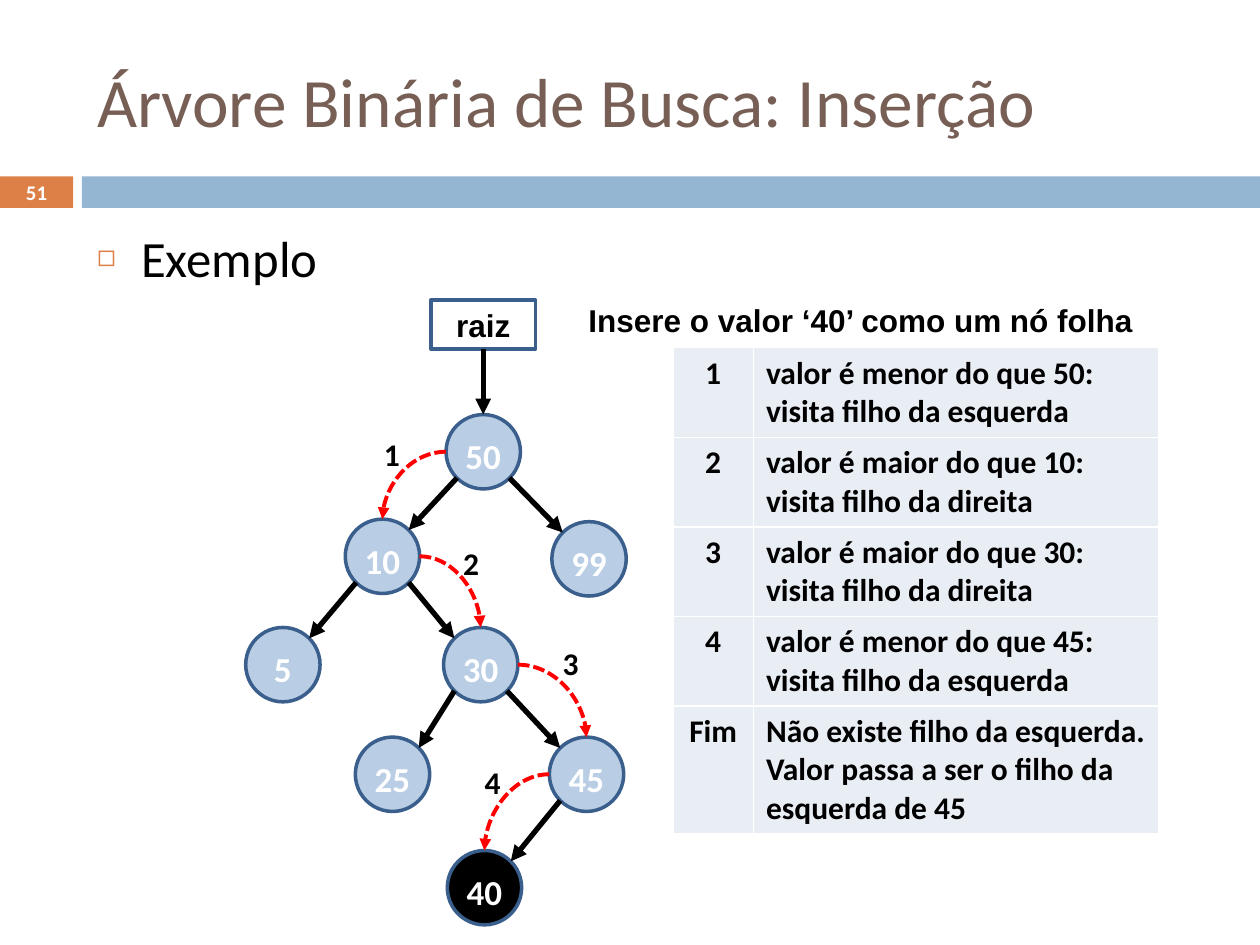
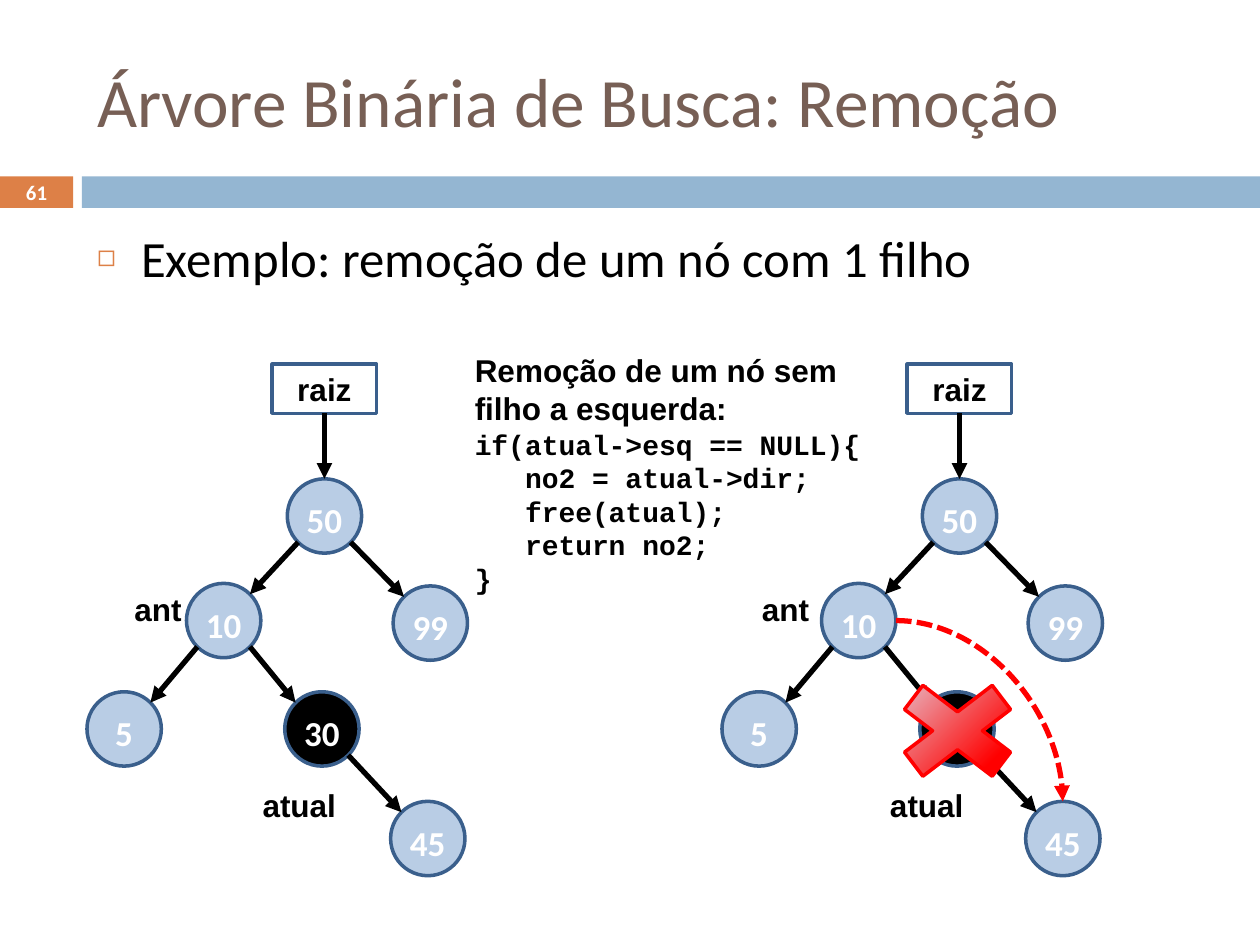
"""Build two slides on insertion and removal in a binary search tree."""
from enum import IntEnum
from math import cos, radians, sin
from typing import NamedTuple

from lxml.etree import SubElement
from pptx import Presentation
from pptx.dml.color import RGBColor
from pptx.enum.dml import MSO_LINE
from pptx.enum.shapes import MSO_CONNECTOR as Link, MSO_SHAPE as Preset
from pptx.enum.text import MSO_ANCHOR as Anchor, MSO_AUTO_SIZE as AutoSize, PP_ALIGN as Align
from pptx.oxml.ns import qn
from pptx.shapes.autoshape import Shape
from pptx.shapes.connector import Connector
from pptx.slide import Slide
from pptx.util import Inches, Pt

WHITE = RGBColor(0xFF, 0xFF, 0xFF)
BLACK = RGBColor(0x00, 0x00, 0x00)
RED = RGBColor(0xFF, 0x00, 0x00)
ORANGE = RGBColor(0xDD, 0x80, 0x47)
BAND_BLUE = RGBColor(0x94, 0xB6, 0xD2)
TITLE_BROWN = RGBColor(0x77, 0x5F, 0x55)
NODE_BLUE = RGBColor(0xB9, 0xCD, 0xE5)
OUTLINE_BLUE = RGBColor(0x3A, 0x5F, 0x8C)
CELL_GREY = RGBColor(0xE9, 0xED, 0xF4)
CROSS_PALE = RGBColor(0xE1, 0xE8, 0xF5)

BODY_FONT, LABEL_FONT, CODE_FONT = "Calibri", "Arial", "Courier New"
DIAMETER = 0.59


class Site(IntEnum):
    """Connection sites of an ellipse, counterclockwise from the top."""
    TOP = 0
    TOP_LEFT = 1
    LEFT = 2
    BOTTOM_LEFT = 3
    BOTTOM = 4
    BOTTOM_RIGHT = 5
    RIGHT = 6
    TOP_RIGHT = 7


class Box(NamedTuple):
    """A rectangle in inches."""
    left: float
    top: float
    width: float
    height: float


class Node(NamedTuple):
    """A tree node, placed relative to the root node."""
    value: str
    dx: float
    dy: float
    parent: str = ""


class Hop(NamedTuple):
    """A dashed step from one node to another."""
    start: str
    side: Site
    end: str


class Label(NamedTuple):
    """A centred bold label."""
    text: str
    box: Box
    font: str = LABEL_FONT


COMMON_NODES = [
    Node("50", 0, 0),
    Node("10", -0.8, 0.83, "50"),
    Node("99", 0.84, 0.85, "50"),
    Node("5", -1.59, 1.69, "10"),
    Node("30", -0.02, 1.69, "10"),
    Node("45", 0.82, 2.56, "30"),
]
INSERTION_NODES = COMMON_NODES + [Node("25", -0.72, 2.56, "30"), Node("40", 0.01, 3.46, "45")]
VISITS = [
    Hop("50", Site.LEFT, "10"),
    Hop("10", Site.RIGHT, "30"),
    Hop("30", Site.RIGHT, "45"),
    Hop("45", Site.LEFT, "40"),
]
STEP_PLACES = [(2.84, 3.4), (3.47, 4.27), (4.26, 5.06), (3.64, 6.01)]
STEPS = [
    ("1", "valor é menor do que 50: visita filho da esquerda"),
    ("2", "valor é maior do que 10: visita filho da direita"),
    ("3", "valor é maior do que 30: visita filho da direita"),
    ("4", "valor é menor do que 45: visita filho da esquerda"),
    ("Fim", "Não existe filho da esquerda. Valor passa a ser o filho da esquerda de 45"),
]
REMOVAL_CODE = [
    "if(atual->esq == NULL){",
    "   no2 = atual->dir;",
    "   free(atual);",
    "   return no2;",
    "}",
]


def inches(box: Box) -> list[Inches]:
    """Convert a box to lengths."""
    return [Inches(length) for length in box]


def style(paragraph, size: float, font: str, color: RGBColor, bold: bool = True,
          align: Align = Align.LEFT) -> None:
    """Format a paragraph and its runs."""
    paragraph.alignment = align
    for run in paragraph.runs:
        run.font.size, run.font.name, run.font.bold = Pt(size), font, bold
        run.font.color.rgb = color


def add_preset(slide: Slide, preset: Preset, box: Box, fill: RGBColor | None,
               line: RGBColor | None = OUTLINE_BLUE) -> Shape:
    """Draw a flat preset shape."""
    shape = slide.shapes.add_shape(preset, *inches(box))
    shape.shadow.inherit = False
    if fill is None:
        shape.fill.background()
    else:
        shape.fill.solid()
        shape.fill.fore_color.rgb = fill
    if line is None:
        shape.line.fill.background()
    else:
        shape.line.color.rgb = line
        shape.line.width = Pt(2)
    return shape


def write_inside(shape: Shape, text: str, size: float, font: str, color: RGBColor,
                 drop: float = 0) -> None:
    """Write centred text in a shape, lowered by a top inset."""
    frame = shape.text_frame
    frame.word_wrap = False
    frame.vertical_anchor = Anchor.MIDDLE
    frame.margin_left = frame.margin_right = frame.margin_bottom = 0
    frame.margin_top = Inches(drop)
    frame.text = text
    style(frame.paragraphs[0], size, font, color, align=Align.CENTER)


def add_label(slide: Slide, label: Label) -> None:
    """Write a label in a text box."""
    frame = slide.shapes.add_textbox(*inches(label.box)).text_frame
    frame.word_wrap = True
    frame.text = label.text
    style(frame.paragraphs[0], 18, label.font, BLACK, align=Align.CENTER)


def finish_arrow(arrow: Connector, color: RGBColor, width: float, dashed: bool = False) -> None:
    """Give a connector its line, arrowhead and empty effect list."""
    arrow.line.color.rgb = color
    arrow.line.width = Pt(width)
    if dashed:
        arrow.line.dash_style = MSO_LINE.SQUARE_DOT
    properties = arrow._element.spPr
    SubElement(properties.find(qn("a:ln")), qn("a:tailEnd"), type="triangle")
    SubElement(properties, qn("a:effectLst"))


def site_point(node: Shape, site: Site) -> tuple[int, int]:
    """Locate a connection site on a round node."""
    radius, angle = node.width / 2, radians(45 * site)
    return (round(node.left + radius * (1 - sin(angle))),
            round(node.top + radius * (1 - cos(angle))))


def join_nodes(slide: Slide, kind: Link, start: Shape, start_site: Site,
               end: Shape, end_site: Site) -> Connector:
    """Attach a connector to sites of two round nodes."""
    arrow = slide.shapes.add_connector(
        kind, *site_point(start, start_site), *site_point(end, end_site))
    joints = arrow._element.nvCxnSpPr.cNvCxnSpPr
    for joint, node, site in ((joints.get_or_add_stCxn(), start, start_site),
                              (joints.get_or_add_endCxn(), end, end_site)):
        joint.id, joint.idx = node.shape_id, int(site)
    return arrow


def draw_tree(slide: Slide, left: float, top: float, nodes: list[Node],
              dark: str) -> dict[str, Shape]:
    """Draw a tree with its root pointer and return the nodes by value."""
    drawn = {}
    for node in nodes:
        circle = add_preset(slide, Preset.OVAL,
                            Box(left + node.dx, top + node.dy, DIAMETER, DIAMETER),
                            BLACK if node.value == dark else NODE_BLUE)
        write_inside(circle, node.value, 20, BODY_FONT, WHITE, drop=0.06)
        drawn[node.value] = circle
    for node in nodes:
        if node.parent:
            child, parent = drawn[node.value], drawn[node.parent]
            sites = ((Site.BOTTOM_LEFT, Site.TOP_RIGHT) if child.left < parent.left
                     else (Site.BOTTOM_RIGHT, Site.TOP_LEFT))
            edge = join_nodes(slide, Link.STRAIGHT, parent, sites[0], child, sites[1])
            finish_arrow(edge, BLACK, 3)
    pointer = add_preset(slide, Preset.RECTANGLE, Box(left - 0.12, top - 0.91, 0.83, 0.39), None)
    write_inside(pointer, "raiz", 18, LABEL_FONT, BLACK)
    entry = slide.shapes.add_connector(Link.STRAIGHT, 0, 0, 0, 0)
    entry.begin_connect(pointer, 2)
    entry.end_connect(drawn["50"], 0)
    finish_arrow(entry, BLACK, 3)
    return drawn


def draw_hop(slide: Slide, tree: dict[str, Shape], hop: Hop, width: float) -> None:
    """Draw a dashed curve from a node's side to the top of another."""
    curve = join_nodes(slide, Link.CURVE, tree[hop.start], hop.side, tree[hop.end], Site.TOP)
    curve._element.spPr.find(qn("a:prstGeom")).set("prst", "curvedConnector2")
    finish_arrow(curve, RED, width, dashed=True)


def start_slide(deck: Presentation, title: str, topic: str, number: str) -> Slide:
    """Add a slide with bands, number, title and bulleted topic."""
    slide = deck.slides.add_slide(deck.slide_layouts[1])
    number_band = add_preset(slide, Preset.RECTANGLE, Box(0, 1.4, 0.58, 0.25), ORANGE, None)
    write_inside(number_band, number, 11.9, BODY_FONT, WHITE)
    add_preset(slide, Preset.RECTANGLE, Box(0.65, 1.4, 9.35, 0.25), BAND_BLUE, None)

    heading, body = slide.shapes.title, slide.placeholders[1]
    for holder, box, text in ((heading, Box(0.67, 0.25, 8.92, 1.08), title),
                              (body, Box(0.67, 1.75, 8.92, 4.92), topic)):
        holder.left, holder.top, holder.width, holder.height = inches(box)
        holder.text_frame.text = text
        holder.text_frame.auto_size = AutoSize.NONE
    heading.text_frame.vertical_anchor = Anchor.MIDDLE
    style(heading.text_frame.paragraphs[0], 39.6, BODY_FONT, TITLE_BROWN, bold=False)

    item = body.text_frame.paragraphs[0]
    item.space_before = Pt(0)
    properties = item._p.get_or_add_pPr()
    properties.set("marL", str(Inches(0.35)))
    properties.set("indent", str(Inches(-0.35)))
    SubElement(SubElement(properties, qn("a:buClr")), qn("a:srgbClr"), val=str(ORANGE))
    SubElement(properties, qn("a:buSzPct"), val="60000")
    SubElement(properties, qn("a:buChar"), char="◻")
    style(item, 29, BODY_FONT, BLACK, bold=False)
    return slide


def add_steps_table(slide: Slide) -> None:
    """List the visited nodes in a table with white borders."""
    table = slide.shapes.add_table(len(STEPS), 2, *inches(Box(5.34, 2.76, 3.86, 3.85))).table
    table.first_row = table.horz_banding = False
    for column, width in zip(table.columns, (0.64, 3.22)):
        column.width = Inches(width)
    for row, step in enumerate(STEPS):
        table.rows[row].height = Inches(1.01 if step[0] == "Fim" else 0.71)
        for column, text in enumerate(step):
            cell = table.cell(row, column)
            cell.text_frame.text = text
            style(cell.text_frame.paragraphs[0], 18, BODY_FONT, BLACK,
                  align=Align.LEFT if column else Align.CENTER)
            properties = cell._tc.get_or_add_tcPr()
            for side in ("lnL", "lnR", "lnT", "lnB"):
                border = SubElement(properties, qn(f"a:{side}"), w=str(Pt(1)))
                SubElement(SubElement(border, qn("a:solidFill")), qn("a:srgbClr"), val=str(WHITE))
            cell.fill.solid()
            cell.fill.fore_color.rgb = CELL_GREY


def add_cross(slide: Slide) -> None:
    """Cross out the removed node with a radial red fill."""
    cross = add_preset(slide, Preset.MATH_MULTIPLY, Box(6.93, 5.29, 1.34, 1.02), RED, RED)
    cross.fill.gradient()
    for stop, (position, color) in zip(cross.fill.gradient_stops, ((0.28, RED), (1, CROSS_PALE))):
        stop.position, stop.color.rgb = position, color
    gradient = cross._element.spPr.find(qn("a:gradFill"))
    gradient.remove(gradient.find(qn("a:lin")))
    radial = SubElement(gradient, qn("a:path"), path="circle")
    SubElement(radial, qn("a:fillToRect"), l="100000", t="100000")


def add_removal_code(slide: Slide) -> None:
    """Write the removal rule and its code."""
    frame = slide.shapes.add_textbox(*inches(Box(3.67, 2.74, 3.34, 2.05))).text_frame
    frame.word_wrap = True
    frame.text = "Remoção de um nó sem filho a esquerda:"
    style(frame.paragraphs[0], 18, LABEL_FONT, BLACK)
    for line in REMOVAL_CODE:
        paragraph = frame.add_paragraph()
        paragraph.text = line
        style(paragraph, 16, CODE_FONT, BLACK)


def build_insertion(deck: Presentation) -> None:
    """Build the insertion slide."""
    slide = start_slide(deck, "Árvore Binária de Busca: Inserção", "Exemplo", "51")
    add_steps_table(slide)
    tree = draw_tree(slide, 3.54, 3.29, INSERTION_NODES, dark="40")
    for hop, (number, _), place in zip(VISITS, STEPS, STEP_PLACES):
        draw_hop(slide, tree, hop, 2.25)
        add_label(slide, Label(number, Box(*place, 0.54, 0.4), BODY_FONT))
    add_label(slide, Label("Insere o valor ‘40’ como um nó folha", Box(4.37, 2.34, 4.92, 0.4)))


def build_removal(deck: Presentation) -> None:
    """Build the removal slide."""
    slide = start_slide(deck, "Árvore Binária de Busca: Remoção",
                        "Exemplo: remoção de um nó com 1 filho", "61")
    before_left, tree_gap, label_gap = 2.28, 5.04, 4.98
    draw_tree(slide, before_left, 3.8, COMMON_NODES, dark="30")
    after = draw_tree(slide, before_left + tree_gap, 3.8, COMMON_NODES, dark="30")
    draw_hop(slide, after, Hop("10", Site.RIGHT, "45"), 3)
    add_cross(slide)
    for shift in (0, label_gap):
        add_label(slide, Label("ant", Box(0.75 + shift, 4.63, 1.01, 0.4)))
        add_label(slide, Label("atual", Box(1.87 + shift, 6.19, 1.01, 0.4)))
    add_removal_code(slide)


def main() -> None:
    """Build and save the deck."""
    deck = Presentation()
    deck.slide_width, deck.slide_height = Inches(10), Inches(7.5)
    build_insertion(deck)
    build_removal(deck)
    deck.save("out.pptx")


if __name__ == "__main__":
    main()
